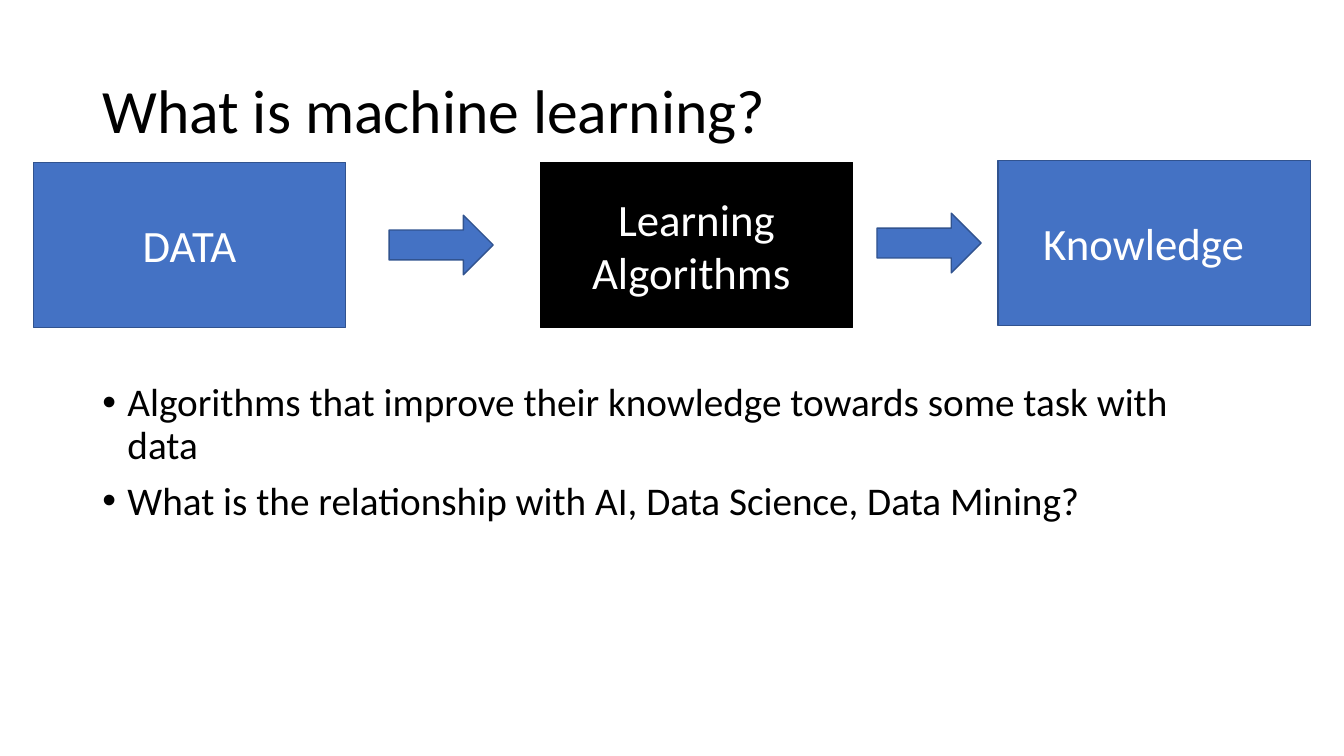
from lxml.etree import SubElement
from pptx import Presentation
from pptx.dml.color import RGBColor
from pptx.enum.shapes import MSO_SHAPE
from pptx.enum.text import MSO_ANCHOR, MSO_AUTO_SIZE, PP_ALIGN
from pptx.oxml.ns import qn
from pptx.util import Pt

BLACK = RGBColor(0x00, 0x00, 0x00)
WHITE = RGBColor(0xFF, 0xFF, 0xFF)
BLUE = RGBColor(0x44, 0x72, 0xC4)
DARK_BLUE = RGBColor(0x31, 0x53, 0x8F)

BOX_W, BOX_H = 223.2, 118.2
ARROW_W, ARROW_H = 74.4, 42.6
INSET = 7.2


def apply(target, values):
    """Set every attribute named in values on target."""
    for name, value in values.items():
        setattr(target, name, value)


class SlideBuilder:
    font = "Calibri"

    def __init__(self, slide):
        self.slide = slide
        self.flow = None

    def place(self, sp, left, top, width, height):
        apply(sp, {"left": Pt(left), "top": Pt(top),
                   "width": Pt(width), "height": Pt(height)})

    def frame(self, sp, anchor, right=INSET):
        tf = sp.text_frame
        apply(tf, {"word_wrap": True, "auto_size": MSO_AUTO_SIZE.NONE,
                   "vertical_anchor": anchor,
                   "margin_left": Pt(INSET), "margin_right": Pt(right),
                   "margin_top": Pt(3.6), "margin_bottom": Pt(3.6)})
        return tf

    def add_text(self, p, text, size, color, **paragraph_format):
        apply(p, paragraph_format)
        r = p.add_run()
        r.text = text
        apply(r.font, {"name": self.font, "size": Pt(size)})
        r.font.color.rgb = color

    def title(self, text, *area):
        sp = self.slide.shapes.title
        self.place(sp, *area)
        tf = self.frame(sp, MSO_ANCHOR.MIDDLE)
        self.add_text(tf.paragraphs[0], text, 44, BLACK,
                      alignment=PP_ALIGN.LEFT, line_spacing=0.9)

    def bullets(self, items, *area):
        sp = self.slide.shapes.add_textbox(*map(Pt, area))
        tf = self.frame(sp, MSO_ANCHOR.TOP)
        for i, text in enumerate(items):
            p = tf.add_paragraph() if i else tf.paragraphs[0]
            self.add_text(p, text, 28, BLACK, line_spacing=0.9,
                          space_before=Pt(10 if i else 0))
            pPr = p._p.get_or_add_pPr()
            pPr.set("marL", str(Pt(18)))
            pPr.set("indent", str(Pt(-18)))
            SubElement(pPr, qn("a:buFont"), typeface="Arial")
            SubElement(pPr, qn("a:buChar"), char="•")

    def start_flow(self):
        """Open the group that holds the process boxes and arrows."""
        self.flow = self.slide.shapes.add_group_shape()

    def shape(self, kind, fill, line, *area):
        sp = self.flow.shapes.add_shape(kind, *map(Pt, area))
        sp.shadow.inherit = False
        sp.fill.solid()
        sp.fill.fore_color.rgb = fill
        sp.line.color.rgb = line
        sp.line.width = Pt(1)
        return sp

    def box(self, text, left, top, fill=BLUE, line=DARK_BLUE, right=INSET):
        sp = self.shape(MSO_SHAPE.RECTANGLE, fill, line, left, top, BOX_W, BOX_H)
        tf = self.frame(sp, MSO_ANCHOR.MIDDLE, right)
        self.add_text(tf.paragraphs[0], text, 32, WHITE, alignment=PP_ALIGN.CENTER)

    def arrow(self, left, row_top):
        """Add an arrow centred on the row of boxes that starts at row_top."""
        top = row_top + (BOX_H - ARROW_H) / 2
        self.shape(MSO_SHAPE.RIGHT_ARROW, BLUE, DARK_BLUE, left, top, ARROW_W, ARROW_H)


def main():
    prs = Presentation()
    apply(prs, {"slide_width": Pt(960), "slide_height": Pt(540)})
    s = SlideBuilder(prs.slides.add_slide(prs.slide_layouts[5]))

    s.title("What is machine learning?", 66, 28.75, 828, 104.4)
    s.bullets(["Algorithms that improve their knowledge towards some task with data",
               "What is the relationship with AI, Data Science, Data Mining?"],
              66, 270, 828, 232.5)

    row_top, end_top = 115.9, 114.5
    s.start_flow()
    s.box("DATA", 23.8, row_top)
    s.arrow(277.9, row_top)
    s.box("Learning Algorithms ", 385.9, row_top, BLACK, BLACK)
    s.arrow(626.4, end_top)
    s.box("Knowledge", 712.8, end_top, right=22)

    prs.save("out.pptx")


if __name__ == "__main__":
    main()
